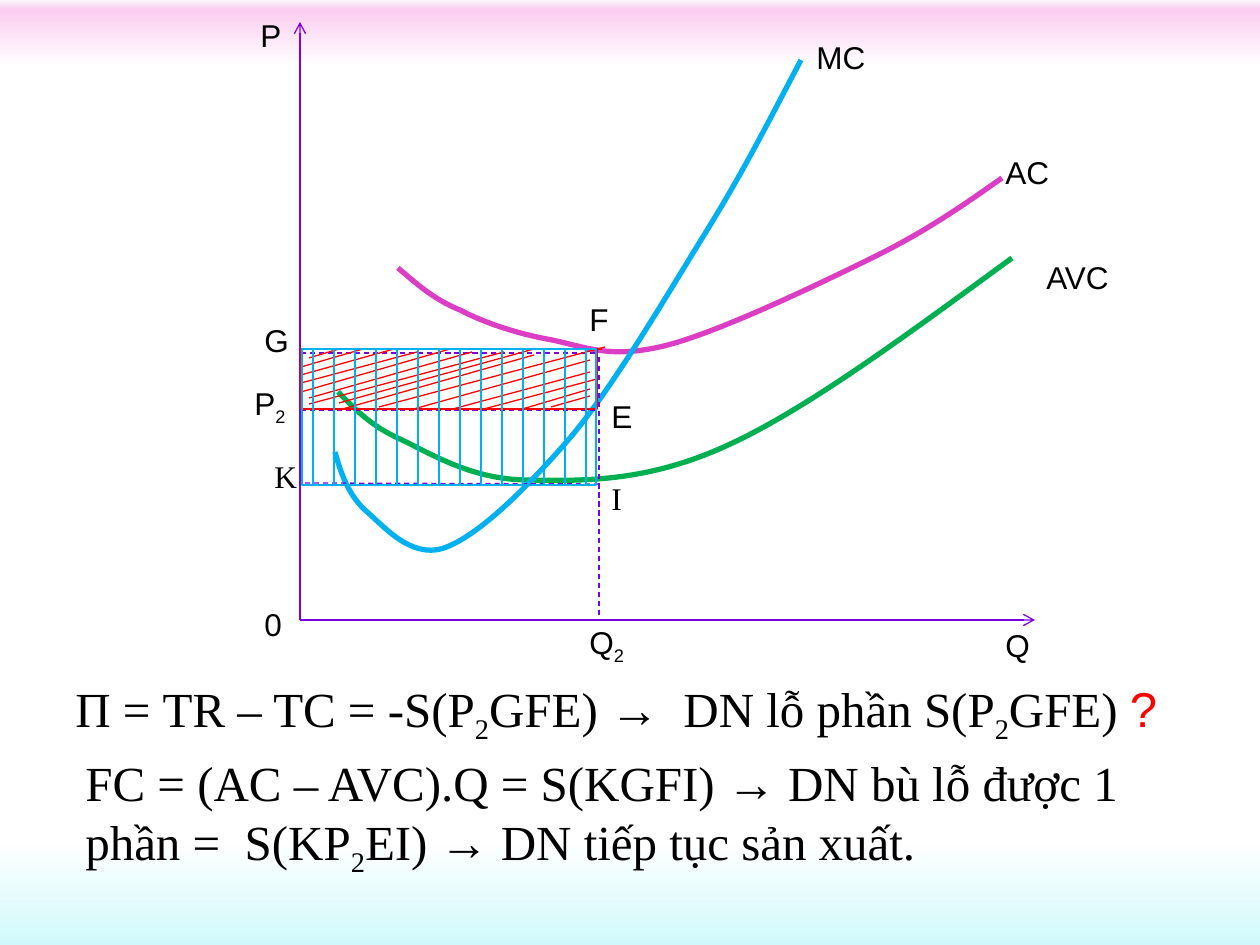
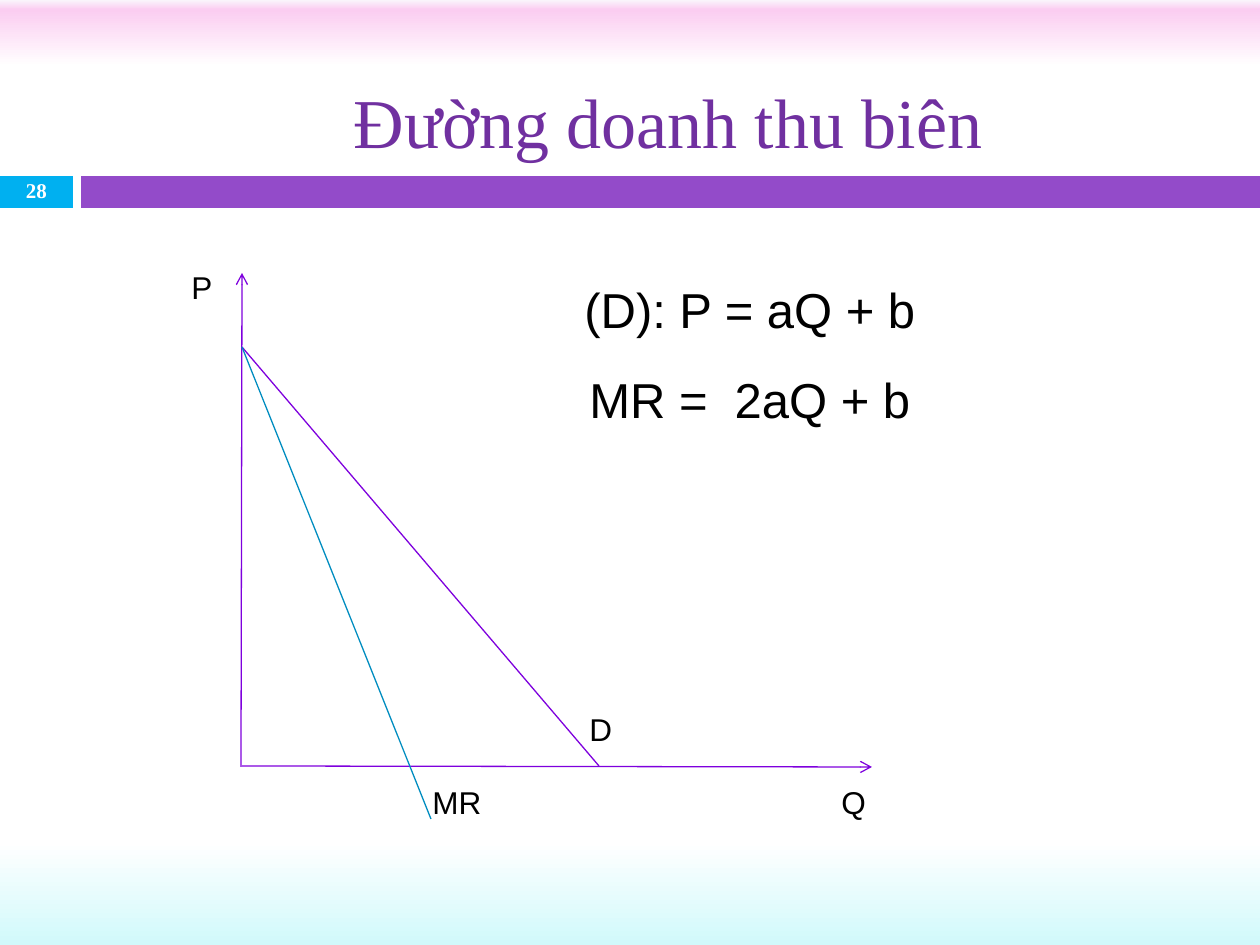
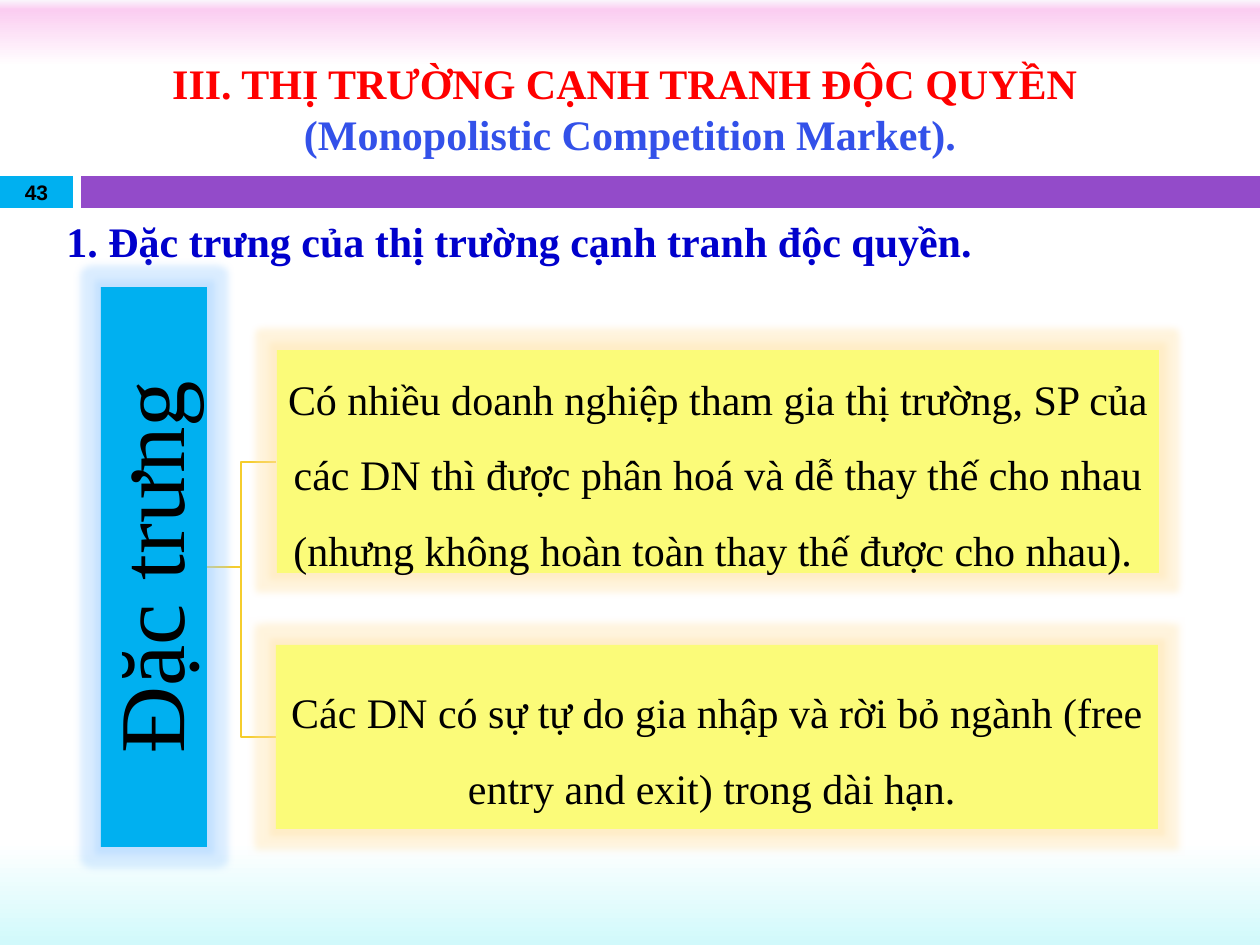
from lxml import etree
from pptx import Presentation
from pptx.dml.color import RGBColor
from pptx.enum.dml import MSO_LINE
from pptx.enum.shapes import MSO_CONNECTOR, MSO_SHAPE
from pptx.enum.text import MSO_ANCHOR, MSO_AUTO_SIZE, PP_ALIGN
from pptx.oxml.ns import qn
from pptx.util import Emu, Pt

STRAIGHT = MSO_CONNECTOR.STRAIGHT
RECTANGLE = MSO_SHAPE.RECTANGLE
DASH = MSO_LINE.DASH
MIDDLE = MSO_ANCHOR.MIDDLE
FIT_SHAPE = MSO_AUTO_SIZE.SHAPE_TO_FIT_TEXT
CENTER = PP_ALIGN.CENTER

EMU_PER_PX = 914400 / 126
SLIDE_WIDTH, SLIDE_HEIGHT = 1260, 945
SANS, SERIF = "Arial", "Times New Roman"

COLORS = {
    "black": "000000",
    "white": "FFFFFF",
    "red": "FF0000",
    "axis": "7E00DD",
    "cyan": "00B0F0",
    "green": "00B050",
    "magenta": "DB3DC4",
    "teal": "008DC0",
    "band": "934BC9",
    "title": "7030A0",
    "subtitle": "3351E9",
    "heading": "0000CC",
    "bracket": "F5CD2D",
    "card": "FBFB79",
    "blue_glow": "99CCFF",
    "gold_glow": "FFE0A0",
}
BACKGROUND_STOPS = [(0, "FAF6FC"), (1, "FBCDF1"), (7, "FFFFFF"), (89, "FFFFFF"), (100, "D1F9FB")]

LABEL = {"name": SANS, "size": Pt(18)}
SERIF_LABEL = {"name": SERIF, "size": Pt(18)}
FORMULA = {"name": SANS, "size": Pt(28)}
STATEMENT = {"name": SERIF, "size": Pt(28)}
BIG_TITLE = {"name": SERIF, "size": Pt(40)}
HEADING = {"name": SERIF, "size": Pt(24), "bold": True}
CARD_TEXT = {"name": SERIF, "size": Pt(24)}
SIDE_TEXT = {"name": SERIF, "size": Pt(53)}

LOSS_HATCH = [
    (590, 360, 410, 410), (605, 347, 379, 407), (504, 352, 309, 404),
    (590, 372, 449, 410), (597, 379, 480, 410), (590, 389, 519, 410),
    (590, 396, 551, 407), (450, 349, 301, 392), (339, 349, 309, 358),
    (363, 349, 301, 367), (394, 349, 301, 375), (417, 352, 301, 383),
    (472, 352, 309, 398), (534, 349, 339, 403), (534, 355, 339, 410),
]
COST_CURVES = [
    ("green", [
        (338, 392), (354, 408), (370, 426), (402, 440), (433, 455), (472, 479), (525, 480),
        (580, 481), (645, 483), (726, 446), (806, 410), (908, 334), (1012, 258),
    ]),
    ("magenta", [
        (398, 268), (416, 283), (433, 299), (460, 310), (485, 323), (518, 334), (552, 340),
        (586, 347), (610, 359), (664, 346), (717, 333), (815, 286), (872, 258),
        (927, 231), (965, 204), (1002, 178),
    ]),
    ("cyan", [
        (335, 452), (341, 473), (348, 494), (365, 510), (383, 525), (410, 559), (444, 548),
        (478, 536), (525, 490), (570, 438), (614, 386), (667, 295), (706, 232),
        (745, 169), (772, 115), (801, 60),
    ]),
]


def px(length):
    return Emu(round(length * EMU_PER_PX))


def rgb(color):
    return RGBColor.from_string(COLORS[color])


def set_values(target, values):
    for name, value in values.items():
        setattr(target, name, value)


def style_line(line, color, width, dash=None):
    line.color.rgb = rgb(color)
    set_values(line, {"width": Pt(width), "dash_style": dash})


def set_background(master):
    fill = master.background.fill
    fill.gradient()
    fill.gradient_angle = 270
    stops = master.element.find(".//" + qn("p:bg")).find(".//" + qn("a:gsLst"))
    for stop in list(stops):
        stops.remove(stop)
    for position, color in BACKGROUND_STOPS:
        stop = etree.SubElement(stops, qn("a:gs"), pos=str(position * 1000))
        etree.SubElement(stop, qn("a:srgbClr"), val=color)


def add_line(slide, ends, color, dash=None, arrow=False):
    connector = slide.shapes.add_connector(STRAIGHT, *map(px, ends))
    style_line(connector.line, color, 0.75, dash)
    if arrow:
        etree.SubElement(connector.line._get_or_add_ln(), qn("a:tailEnd"), type="arrow")
    etree.SubElement(connector._element.spPr, qn("a:effectLst"))


def add_outline(slide, points, color, width):
    points = [(px(x), px(y)) for x, y in points]
    builder = slide.shapes.build_freeform(*points[0])
    builder.add_line_segments(points[1:], close=False)
    shape = builder.convert_to_shape()
    shape.shadow.inherit = False
    shape.fill.background()
    style_line(shape.line, color, width)
    return shape


def add_curve(slide, points, color):
    shape = add_outline(slide, points, color, 3)
    segments = list(shape._element.iter(qn("a:lnTo")))
    outline = segments[0].getparent()
    for start in range(0, len(segments), 3):
        curve = etree.SubElement(outline, qn("a:cubicBezTo"))
        for segment in segments[start:start + 3]:
            curve.append(segment[0])
            outline.remove(segment)


def add_rectangle(slide, box, fill=None, line=None):
    shape = slide.shapes.add_shape(RECTANGLE, *map(px, box))
    shape.shadow.inherit = False
    if fill:
        shape.fill.solid()
        shape.fill.fore_color.rgb = rgb(fill)
    else:
        shape.fill.background()
    if line:
        style_line(shape.line, line, 1.5)
    else:
        shape.line.fill.background()
    return shape


def add_glow(shape, color):
    effects = shape._element.spPr.find(qn("a:effectLst"))
    glow = etree.SubElement(effects, qn("a:glow"), rad=str(px(14)))
    tint = etree.SubElement(glow, qn("a:srgbClr"), val=COLORS[color])
    etree.SubElement(tint, qn("a:alpha"), val="35000")


def add_run(paragraph, text, font, color="black", subscript=False):
    run = paragraph.add_run()
    run.text = text
    set_values(run.font, font)
    run.font.color.rgb = rgb(color)
    if subscript:
        run._r.get_or_add_rPr().set("baseline", "-25000")


def add_text(slide, box, text, font, color="black", frame_format=None, paragraph_format=None):
    frame = slide.shapes.add_textbox(*map(px, box)).text_frame
    set_values(frame, {"word_wrap": True, **(frame_format or {})})
    paragraph = frame.paragraphs[0]
    set_values(paragraph, paragraph_format or {})
    for index, part in enumerate(text.split("_2")):
        if index:
            add_run(paragraph, "2", font, color, subscript=True)
        if part:
            add_run(paragraph, part, font, color)
    return paragraph


def add_label(slide, left, top, width, text, font=LABEL, height=50):
    add_text(slide, (left, top, width, height), text, font,
             frame_format={"word_wrap": False, "auto_size": FIT_SHAPE})


def add_title(slide, box, text, font, color):
    return add_text(slide, box, text, font, color, {"vertical_anchor": MIDDLE}, {"alignment": CENTER})


def add_band(slide, number, font_name, color, line_spacing):
    add_rectangle(slide, (0, 170, SLIDE_WIDTH, 44), "white")
    add_rectangle(slide, (0, 176, 73, 32), "cyan")
    add_rectangle(slide, (81, 176, SLIDE_WIDTH - 81, 32), "band")
    add_text(slide, (0, 175, 73, 34), number, {"name": font_name, "size": Pt(12), "bold": True}, color,
             {"vertical_anchor": MIDDLE}, {"alignment": CENTER, "line_spacing": line_spacing})


def add_card(slide, box, text, font, fill, glow, inset, line_spacing, rotation=0):
    shape = add_rectangle(slide, box, fill)
    shape.rotation = rotation
    add_glow(shape, glow)
    frame = shape.text_frame
    margins = {f"margin_{side}": px(inset) for side in ("left", "top", "right", "bottom")}
    set_values(frame, {"word_wrap": True, "vertical_anchor": MIDDLE, **margins})
    paragraph = frame.paragraphs[0]
    set_values(paragraph, {"alignment": CENTER, "line_spacing": line_spacing})
    add_run(paragraph, text, font)


def build_loss_slide(slide):
    add_line(slide, (300, 620, 300, 22), "axis", arrow=True)
    add_line(slide, (300, 620, 1035, 620), "axis", arrow=True)
    for color, points in COST_CURVES:
        add_curve(slide, points, color)
    for ends in [(599, 357, 599, 620), (595, 410, 301, 410), (595, 353, 301, 353)]:
        add_line(slide, ends, "axis", DASH)

    add_line(slide, (602, 349, 301, 349), "red", DASH)
    add_rectangle(slide, (301, 349, 296, 60), line="red")
    for ends in LOSS_HATCH:
        add_line(slide, ends, "red")

    add_line(slide, (599, 484, 305, 483), "axis", DASH)
    add_rectangle(slide, (302, 349, 294, 136), line="cyan")
    for x in range(313, 587, 21):
        add_line(slide, (x, 349, x, 485), "cyan")

    for left, top, width, text in [
        (1034, 252, 88, "AVC"), (993, 147, 69, "AC"), (804, 32, 74, "MC"),
        (993, 620, 50, "Q"), (248, 10, 47, "P"), (252, 599, 43, "0"),
        (242, 378, 58, "P_2"), (577, 617, 62, "Q_2"), (599, 391, 48, "E"),
        (577, 294, 45, "F"), (252, 315, 50, "G"),
    ]:
        add_label(slide, left, top, width, text)
    add_label(slide, 599, 473, 37, "I", SERIF_LABEL)
    add_label(slide, 262, 451, 48, "K", SERIF_LABEL)

    profit = add_text(slide, (63, 672, 1197, 72),
                      "Π = TR – TC = -S(P_2GFE) →  DN lỗ phần S(P_2GFE) ", STATEMENT)
    add_run(profit, "?", FORMULA, "red")
    add_text(slide, (73, 746, 1144, 131),
             "FC = (AC – AVC).Q = S(KGFI) → DN bù lỗ được 1 phần =  S(KP_2EI) → DN tiếp tục sản xuất.",
             STATEMENT)


def build_revenue_slide(slide):
    add_band(slide, "28", SERIF, "white", 0.8)
    add_line(slide, (241, 767, 242, 273), "axis", arrow=True)
    add_line(slide, (242, 766, 872, 767), "axis", arrow=True)
    add_line(slide, (242, 347, 599, 766), "axis")
    add_line(slide, (242, 347, 431, 819), "teal")
    for left, top, width, text in [
        (577, 704, 48, "D"), (179, 262, 48, "P"), (829, 777, 50, "Q"), (420, 777, 74, "MR"),
    ]:
        add_label(slide, left, top, width, text)
    add_title(slide, (106, 53, 1124, 136), "Đường doanh thu biên", BIG_TITLE, "title")
    add_label(slide, 572, 273, 360, "(D): P = aQ + b", FORMULA, 72)
    add_label(slide, 577, 363, 350, "MR =  2aQ + b", FORMULA, 72)


def build_competition_slide(slide):
    add_band(slide, "43", SANS, "black", 1.0)
    title = add_title(slide, (0, 29, SLIDE_WIDTH, 158),
                      "III. THỊ TRƯỜNG CẠNH TRANH ĐỘC QUYỀN ", HEADING, "red")
    title.add_line_break()
    add_run(title, "(Monopolistic Competition Market).", HEADING, "subtitle")
    add_text(slide, (54, 215, 1134, 93), "1. Đặc trưng của thị trường cạnh tranh độc quyền.",
             HEADING, "heading", paragraph_format={"line_spacing": 0.9})

    for card_middle in (737, 462):
        add_outline(slide, [(207, 567), (241, 567), (241, card_middle), (276, card_middle)], "bracket", 1.5)
    add_card(slide, (-126, 514, 560, 106), "Đặc trưng", SIDE_TEXT, "cyan", "blue_glow", 5, 0.9, 270)
    for box, text in [
        ((277, 350, 882, 223),
         "Có nhiều doanh nghiệp tham gia thị trường, SP của các DN thì được phân hoá và dễ thay thế "
         "cho nhau (nhưng không hoàn toàn thay thế được cho nhau). "),
        ((276, 645, 882, 184),
         "Các DN có sự tự do gia nhập và rời bỏ ngành (free entry and exit) trong dài hạn. "),
    ]:
        add_card(slide, box, text, CARD_TEXT, "card", "gold_glow", 3, 1.5)


def main():
    presentation = Presentation()
    set_values(presentation, {"slide_width": px(SLIDE_WIDTH), "slide_height": px(SLIDE_HEIGHT)})
    set_background(presentation.slide_master)
    blank_layout = presentation.slide_layouts[6]
    for build in (build_loss_slide, build_revenue_slide, build_competition_slide):
        build(presentation.slides.add_slide(blank_layout))
    presentation.save("out.pptx")


if __name__ == "__main__":
    main()
